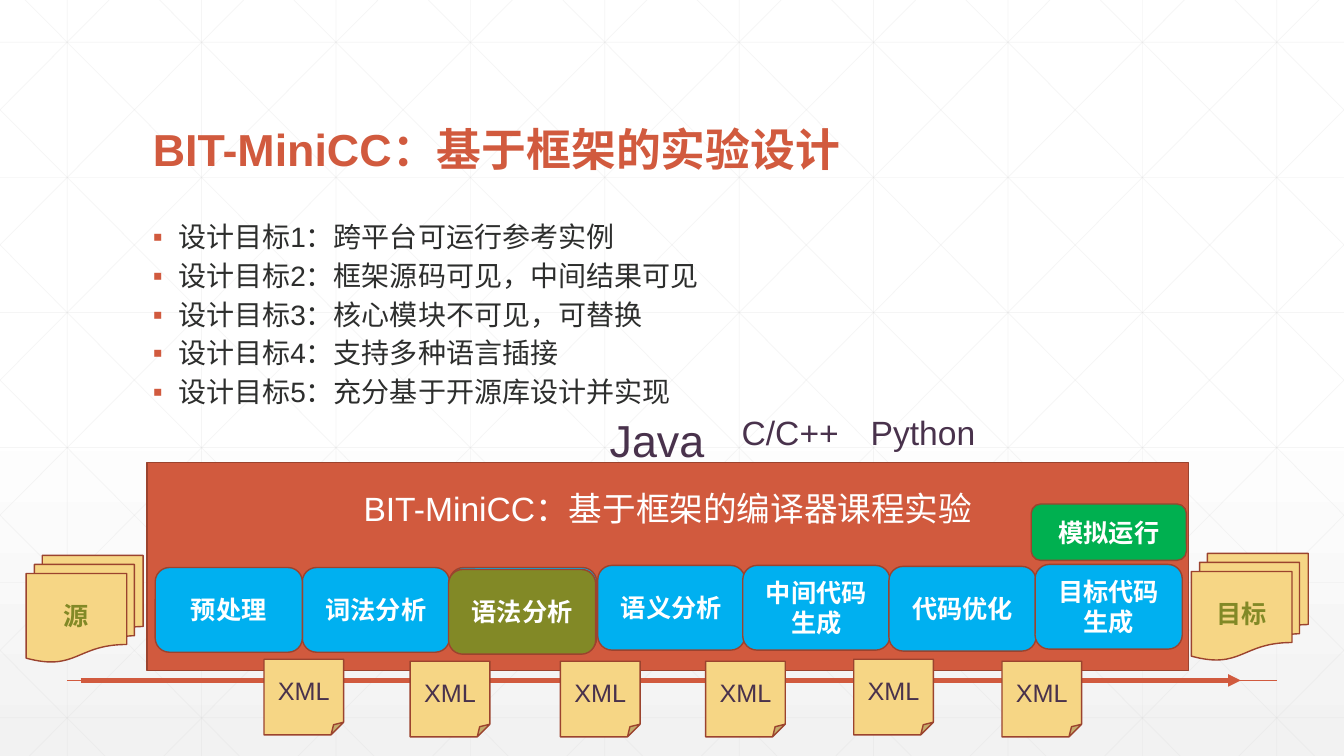
"""Build the BIT-MiniCC slide on framework-based experiment design."""
from dataclasses import dataclass

from lxml.etree import SubElement
from pptx import Presentation
from pptx.dml.color import RGBColor
from pptx.enum.shapes import MSO_CONNECTOR, MSO_SHAPE as SHAPE
from pptx.enum.text import MSO_ANCHOR as ANCHOR, MSO_AUTO_SIZE, PP_ALIGN
from pptx.oxml.ns import qn
from pptx.util import Pt

W, H = 960, 540
RED, EDGE, BLUE, GREEN = "D15A3E", "9B432E", "00B0F0", "00B050"
OLIVE, SAND, PLUM, WHITE, INK = "828926", "F6D685", "49324C", "FFFFFF", "2D2E2D"
ARIAL, CJK = "Arial", "Noto Sans CJK SC"
GOALS = [
    "设计目标1：跨平台可运行参考实例",
    "设计目标2：框架源码可见，中间结果可见",
    "设计目标3：核心模块不可见，可替换",
    "设计目标4：支持多种语言插接",
    "设计目标5：充分基于开源库设计并实现",
]


@dataclass
class Style:
    size: float
    color: str
    bold: bool = False
    font: str = ARIAL


@dataclass
class Box:
    text: str
    x: float
    y: float
    w: float
    h: float
    kind: SHAPE
    fill: str
    style: Style


@dataclass
class Label:
    text: str
    x: float
    w: float
    h: float
    size: float


STAGE = Style(18, WHITE, True, CJK)
DOC = Style(18, OLIVE, True)
XML = Style(18, PLUM)


def stage(text: str, x: float, y: float, fill: str = BLUE) -> Box:
    return Box(text, x, y, 105.1, 60.5, SHAPE.ROUNDED_RECTANGLE, fill, STAGE)


def document(text: str, x: float, y: float) -> Box:
    return Box(text, x, y, 83.5, 76.3, SHAPE.FLOWCHART_MULTIDOCUMENT, SAND, DOC)


def xml_note(x: float, y: float) -> Box:
    return Box("XML", x, y, 56.9, 54, SHAPE.FOLDED_CORNER, SAND, XML)


FRAME = Box("BIT-MiniCC：基于框架的编译器课程实验", 105.1, 330.5, 743.8, 148.3,
            SHAPE.RECTANGLE, RED, Style(24, WHITE))
BACK_STAGE = stage("", 321.1, 405.4)
BOXES = [
    document("源", 18.7, 396.7),
    document("目标", 851, 395.3),
    stage("语义分析", 427, 403.9),
    stage("中间代码生成", 530.6, 403.9),
    stage("代码优化", 635, 404.6),
    stage("目标代码生成", 739.4, 403.2),
    Box("模拟运行", 736.6, 360, 110.9, 40.3, SHAPE.ROUNDED_RECTANGLE, GREEN, STAGE),
    *[xml_note(x, y) for x, y in [(188.6, 470.9), (293, 472.3), (400.3, 472.3),
                                  (504, 472.3), (609.8, 470.9), (715.7, 472.3)]],
    stage("词法分析", 216, 405.4),
    stage("预处理", 110.9, 405.4),
    stage("语法分析", 320.4, 406.8, OLIVE),
]
LABELS = [Label("Java", 428.4, 100, 46, 32), Label("C/C++", 522.7, 108, 36.4, 24),
          Label("Python", 614.9, 126.7, 36.4, 24)]


def rgb(color: str) -> RGBColor:
    return RGBColor.from_string(color)


def format_runs(p, style: Style) -> None:
    for r in p.runs:
        r.font.size, r.font.bold, r.font.name = Pt(style.size), style.bold, style.font
        r.font.color.rgb = rgb(style.color)
        SubElement(r.font._element, qn("a:ea"), typeface=style.font)


def place(sp, x: float, y: float, w: float, h: float) -> None:
    sp.left, sp.top, sp.width, sp.height = Pt(x), Pt(y), Pt(w), Pt(h)


def add_line(s, x1: float, y1: float, x2: float, y2: float, color: str,
             width: float, alpha: int = 100, arrow: bool = False) -> None:
    c = s.shapes.add_connector(MSO_CONNECTOR.STRAIGHT, Pt(x1), Pt(y1), Pt(x2), Pt(y2))
    c.line.width = Pt(width)
    c.line.color.rgb = rgb(color)
    ln = c.line._get_or_add_ln()
    if alpha < 100:
        SubElement(ln.find(".//" + qn("a:srgbClr")), qn("a:alpha"), val=str(alpha * 1000))
    if arrow:
        SubElement(ln, qn("a:tailEnd"), type="triangle")
    SubElement(c._element.spPr, qn("a:effectLst"))


def add_box(s, box: Box):
    sp = s.shapes.add_shape(box.kind, Pt(box.x), Pt(box.y), Pt(box.w), Pt(box.h))
    sp.shadow.inherit = False
    sp.fill.solid()
    sp.fill.fore_color.rgb = rgb(box.fill)
    sp.line.color.rgb, sp.line.width = rgb(EDGE), Pt(1)
    tf = sp.text_frame
    tf.text, tf.word_wrap, tf.vertical_anchor = box.text, True, ANCHOR.MIDDLE
    tf.paragraphs[0].alignment = PP_ALIGN.CENTER
    format_runs(tf.paragraphs[0], box.style)
    return sp


def add_label(s, label: Label) -> None:
    sp = s.shapes.add_textbox(Pt(label.x), Pt(290.9), Pt(label.w), Pt(label.h))
    tf = sp.text_frame
    tf.text, tf.word_wrap = label.text, True
    format_runs(tf.paragraphs[0], Style(label.size, PLUM))


def add_backdrop(s) -> None:
    fill = s.background.fill
    fill.gradient()
    fill.gradient_angle = 270
    for stop, position, color in zip(fill.gradient_stops, (0.53, 1), (WHITE, "F2F2F2")):
        stop.position, stop.color.rgb = position, rgb(color)
    grid = [(48 + 96 * k, 0, 48 + 96 * k, H) for k in range(10)]
    grid += [(0, 30.24 + 96.48 * k, W, 30.24 + 96.48 * k) for k in range(6)]
    run = 537
    for k in range(-5, 10):
        x0 = 18 + 96 * k
        x1, x2 = max(0, x0), min(W, x0 + run)
        y1, y2 = ((x - x0) * H / run for x in (x1, x2))
        grid += [(x1, y1, x2, y2), (W - x1, y1, W - x2, y2)]
    for ends in grid:
        add_line(s, *ends, "D9D9D9", 0.5, alpha=25)
    add_line(s, 48, 486, 912, 486, RED, 1)


def fill_title(sp) -> None:
    place(sp, 102, 39.6, 756, 90)
    tf = sp.text_frame
    tf.text = "BIT-MiniCC：基于框架的实验设计"
    tf.auto_size, tf.vertical_anchor = MSO_AUTO_SIZE.NONE, ANCHOR.BOTTOM
    p = tf.paragraphs[0]
    p.alignment, p.line_spacing = PP_ALIGN.LEFT, 0.9
    format_runs(p, Style(32, RED, True))


def fill_goals(sp) -> None:
    place(sp, 102, 156.2, 756, 300)
    tf = sp.text_frame
    tf.text, tf.auto_size = "\n".join(GOALS), MSO_AUTO_SIZE.NONE
    for i, p in enumerate(tf.paragraphs):
        p.line_spacing, p.space_before = 0.9, Pt(6 if i else 0)
        pPr = p._p.get_or_add_pPr()
        pPr.set("marL", str(Pt(18)))
        pPr.set("indent", str(-Pt(18)))
        SubElement(SubElement(pPr, qn("a:buClr")), qn("a:srgbClr"), val=RED)
        SubElement(pPr, qn("a:buFont"), typeface=ARIAL)
        SubElement(pPr, qn("a:buChar"), char="▪")
        format_runs(p, Style(20, INK))


def main() -> None:
    prs = Presentation()
    prs.slide_width, prs.slide_height = Pt(W), Pt(H)
    s = prs.slides.add_slide(prs.slide_layouts[1])
    title, body = s.placeholders
    add_backdrop(s)
    for sp, fill in ((title, fill_title), (body, fill_goals)):
        fill(sp)
        sp._element.getparent().append(sp._element)
    tf = add_box(s, FRAME).text_frame
    tf.vertical_anchor, tf.margin_top = ANCHOR.TOP, Pt(18)
    add_box(s, BACK_STAGE)
    add_line(s, 57.6, 486, 886.3, 486, RED, 3, arrow=True)
    for box in BOXES:
        add_box(s, box)
    for label in LABELS:
        add_label(s, label)
    prs.save("out.pptx")


if __name__ == "__main__":
    main()
